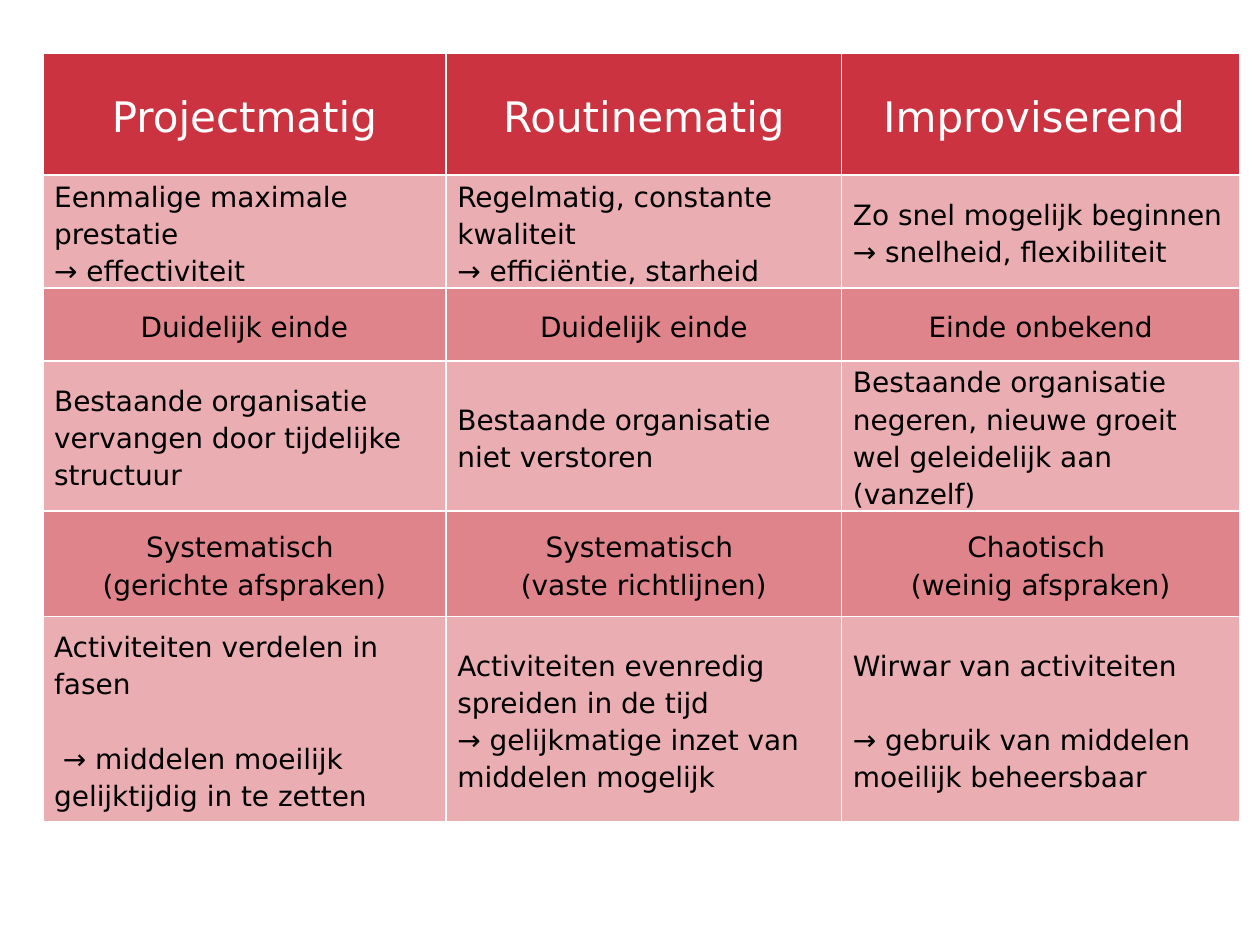
from pptx import Presentation
from pptx.dml.color import RGBColor
from pptx.enum.text import MSO_ANCHOR as Anchor, PP_ALIGN as Align
from pptx.oxml import parse_xml
from pptx.oxml.ns import nsdecls
from pptx.util import Inches, Pt

COLS = [3.2, 3.14, 3.16]
ROWS = [0.97, 0.82, 0.58, 1.09, 0.84, 1.63]
GAP = 21.4

CELLS = [
    [["Projectmatig"], ["Routinematig"], ["Improviserend "]],
    [
        ["Eenmalige maximale prestatie", "→ effectiviteit"],
        ["Regelmatig, constante kwaliteit", "→ efficiëntie, starheid"],
        ["Zo snel mogelijk beginnen", "→ snelheid, flexibiliteit"],
    ],
    [["Duidelijk einde"], ["Duidelijk einde"], ["Einde onbekend"]],
    [
        ["Bestaande organisatie vervangen door tijdelijke structuur"],
        ["Bestaande organisatie niet verstoren"],
        ["Bestaande organisatie negeren, nieuwe groeit wel geleidelijk aan (vanzelf)"],
    ],
    [
        ["Systematisch ", "(gerichte afspraken)"],
        ["Systematisch ", "(vaste richtlijnen)"],
        ["Chaotisch ", "(weinig afspraken)"],
    ],
    [
        ["Activiteiten verdelen in fasen", " → middelen moeilijk gelijktijdig in te zetten"],
        ["Activiteiten evenredig spreiden in de tijd", "→ gelijkmatige inzet van middelen mogelijk"],
        ["Wirwar van activiteiten", "→ gebruik van middelen moeilijk beheersbaar"],
    ],
]
SPACED_CELLS = {(5, 0), (5, 2)}


def rgb(color):
    return RGBColor.from_string(color)


def write(tf, lines, size=16, color="000000", align=Align.LEFT, font="DejaVu Sans", gap=0):
    for i, line in enumerate(lines):
        p = tf.paragraphs[0] if i == 0 else tf.add_paragraph()
        p.alignment = align
        p.line_spacing = 1.15
        p.space_before = Pt(gap if i else 0)
        r = p.add_run()
        r.text = line
        r.font.name = font
        r.font.size = Pt(size)
        r.font.bold = False
        r.font.color.rgb = rgb(color)


class Deck:
    header, light, dark, border = "CA333F", "EAADB2", "E0848B", "FFFFFF"

    def __init__(self, width, height):
        self.prs = Presentation()
        self.prs.slide_width = Inches(width)
        self.prs.slide_height = Inches(height)
        self.s = self.prs.slides.add_slide(self.prs.slide_layouts[6])

    def outline(self, cell):
        tc_pr = cell._tc.get_or_add_tcPr()
        for side in "LRTB":
            tc_pr.append(parse_xml(
                f'<a:ln{side} {nsdecls("a")} w="{Pt(1)}"><a:solidFill>'
                f'<a:srgbClr val="{self.border}"/></a:solidFill></a:ln{side}>'
            ))

    def cell(self, cell, lines, fill, **fmt):
        cell.vertical_anchor = Anchor.MIDDLE
        cell.margin_left = cell.margin_right = Inches(0.09)
        cell.margin_top = Inches(0.01)
        cell.margin_bottom = 0
        self.outline(cell)
        cell.fill.solid()
        cell.fill.fore_color.rgb = rgb(fill)
        write(cell.text_frame, lines, **fmt)

    def table(self, left, top, cols, rows, cells):
        table = self.s.shapes.add_table(
            len(rows), len(cols), Inches(left), Inches(top),
            Inches(sum(cols)), Inches(sum(rows)),
        ).table
        for col, width in zip(table.columns, cols):
            col.width = Inches(width)
        for i, (row, height) in enumerate(zip(table.rows, rows)):
            row.height = Inches(height)
            fill = self.light if i % 2 else self.dark
            fmt = {"align": Align.LEFT if i % 2 else Align.CENTER}
            if i == 0:
                fill = self.header
                fmt.update(size=24, color="FFFFFF")
            for j, lines in enumerate(cells[i]):
                gap = GAP if (i, j) in SPACED_CELLS else 0
                self.cell(table.cell(i, j), lines, fill, gap=gap, **fmt)


def main():
    deck = Deck(10, 7.5)
    deck.table(0.34, 0.42, COLS, ROWS, CELLS)
    deck.prs.save("out.pptx")


if __name__ == "__main__":
    main()
